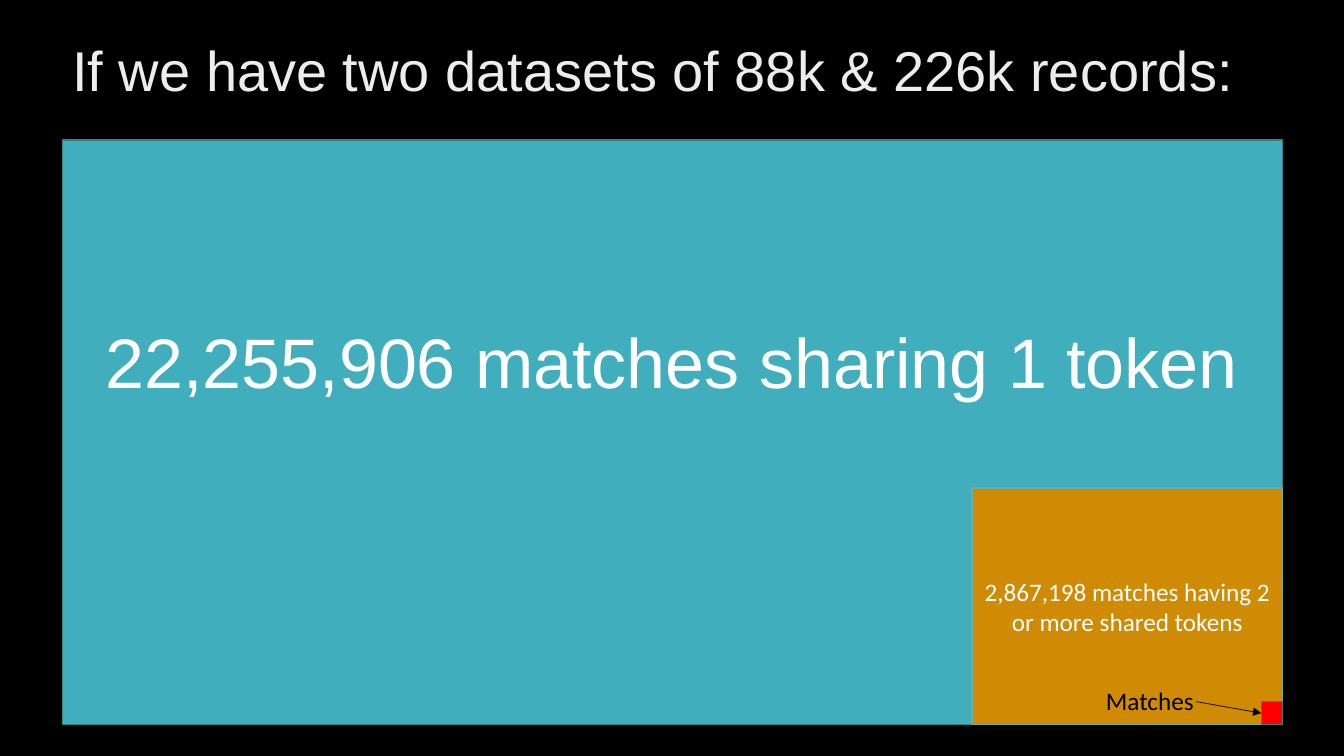
from pptx import Presentation
from pptx.dml.color import RGBColor
from pptx.enum.shapes import MSO_CONNECTOR, MSO_SHAPE
from pptx.enum.text import MSO_ANCHOR, PP_ALIGN
from pptx.oxml.ns import qn
from pptx.util import Inches, Pt
from lxml.etree import SubElement

BLACK = RGBColor(0x00, 0x00, 0x00)
WHITE = RGBColor(0xFF, 0xFF, 0xFF)
SILVER = RGBColor(0xED, 0xED, 0xED)
TEAL = RGBColor(0x41, 0xAE, 0xBD)
DARK_TEAL = RGBColor(0x30, 0x81, 0x8C)
AMBER = RGBColor(0xCF, 0x8B, 0x03)
SAGE = RGBColor(0x70, 0xAC, 0x9E)
RED = RGBColor(0xFF, 0x00, 0x00)

# Slide size and the edges shared by the nested areas, in inches
WIDTH, HEIGHT = 13.33, 7.5
LEFT, RIGHT, BOTTOM = 0.62, 12.72, 7.19


def write(shape, text, size, font, color, align=PP_ALIGN.CENTER):
    frame = shape.text_frame
    frame.text = text
    frame.word_wrap = True
    frame.vertical_anchor = MSO_ANCHOR.MIDDLE
    paragraph = frame.paragraphs[0]
    paragraph.alignment = align
    run_font = paragraph.runs[0].font
    run_font.size = Pt(size)
    run_font.name = font
    run_font.color.rgb = color
    return frame


def add_label(slide, left, top, width, height, text, size, font, color):
    label = slide.shapes.add_textbox(
        Inches(left), Inches(top), Inches(width), Inches(height))
    return write(label, text, size, font, color, PP_ALIGN.LEFT)


def add_area(slide, width, height, fill, outline):
    """Add a rectangle anchored in the shared bottom right corner."""
    area = slide.shapes.add_shape(
        MSO_SHAPE.RECTANGLE, Inches(RIGHT - width), Inches(BOTTOM - height),
        Inches(width), Inches(height))
    area.shadow.inherit = False
    area.fill.solid()
    area.fill.fore_color.rgb = fill
    area.line.color.rgb = outline
    area.line.width = Pt(1)
    return area


def add_arrow(slide, left, top, target):
    """Add an arrow from a point to the left side of the target."""
    arrow = slide.shapes.add_connector(
        MSO_CONNECTOR.STRAIGHT, Inches(left), Inches(top), target.left, target.top)
    arrow.end_connect(target, 1)
    arrow.line.color.rgb = BLACK
    arrow.line.width = Pt(0.5)
    SubElement(arrow.line._get_or_add_ln(), qn("a:tailEnd"), type="triangle")
    SubElement(arrow._element.spPr, qn("a:effectLst"))


def main():
    deck = Presentation()
    deck.slide_width, deck.slide_height = Inches(WIDTH), Inches(HEIGHT)
    slide = deck.slides.add_slide(deck.slide_layouts[6])
    slide.background.fill.solid()
    slide.background.fill.fore_color.rgb = BLACK

    # All pairs sharing one token, with the text raised above the centre
    one_token = add_area(slide, RIGHT - LEFT, 5.8, TEAL, DARK_TEAL)
    one_token_text = write(
        one_token, "22,255,906 matches sharing 1 token", 50, "Arial", WHITE)
    one_token_text.margin_bottom = Inches(1.48)

    # Title
    title = add_label(slide, LEFT, 0, 12.6, 1.45,
                      "If we have two datasets of 88k & 226k records:",
                      40, "Arial", SILVER)
    title.paragraphs[0].line_spacing = 0.9

    # Pairs sharing two or more tokens
    two_tokens = add_area(slide, 3.08, 2.35, AMBER, SAGE)
    write(two_tokens, "2,867,198 matches having 2 or more shared tokens",
          18, "Calibri", WHITE)

    # True matches, with their label and arrow
    matches = add_area(slide, 0.21, 0.23, RED, DARK_TEAL)
    add_arrow(slide, 11.86, 6.96, matches)
    matches_text = add_label(slide, 10.87, 6.75, 1.09, 0.4,
                             "Matches", 18, "Calibri", BLACK)
    matches_text.word_wrap = False

    deck.save("out.pptx")


if __name__ == "__main__":
    main()
